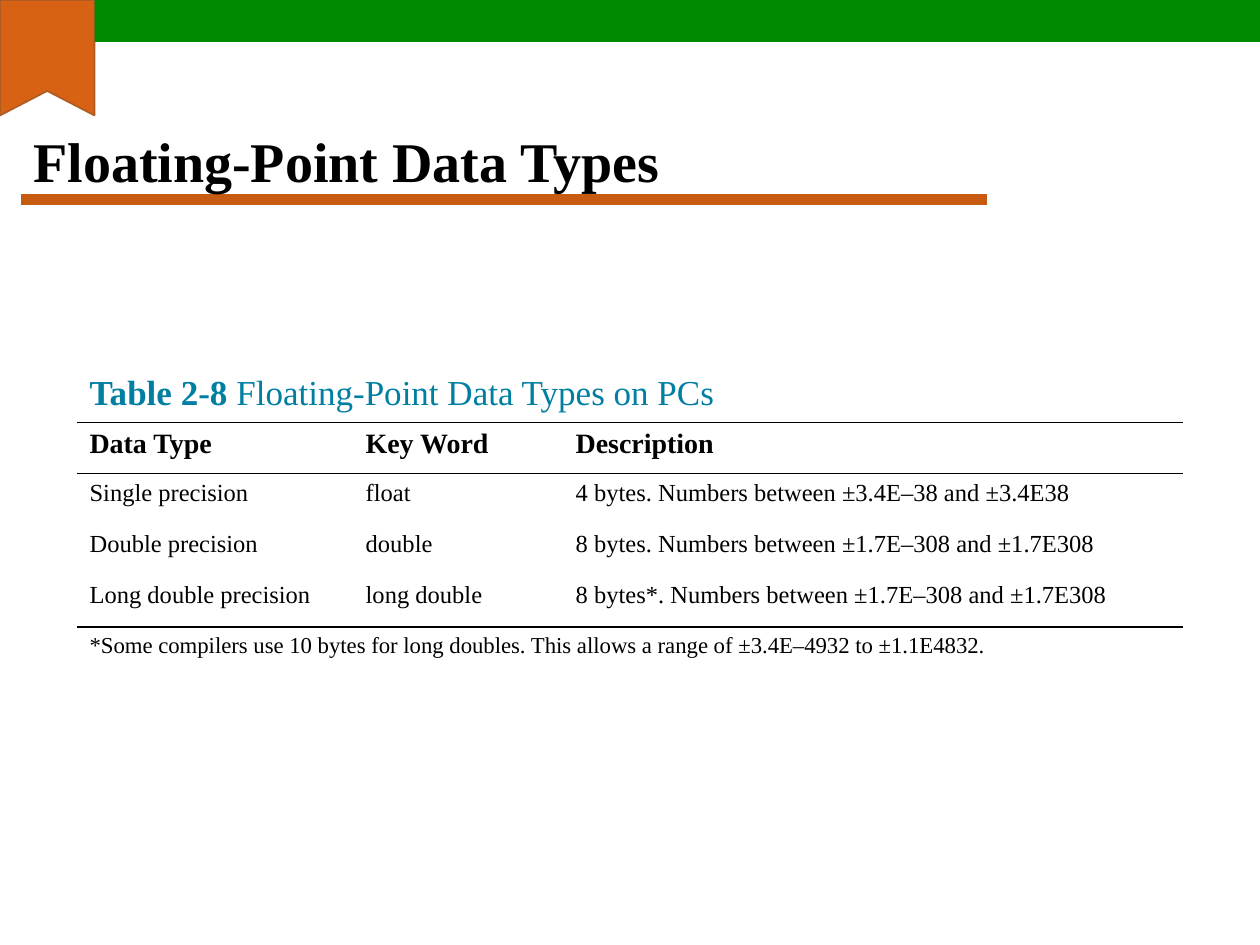
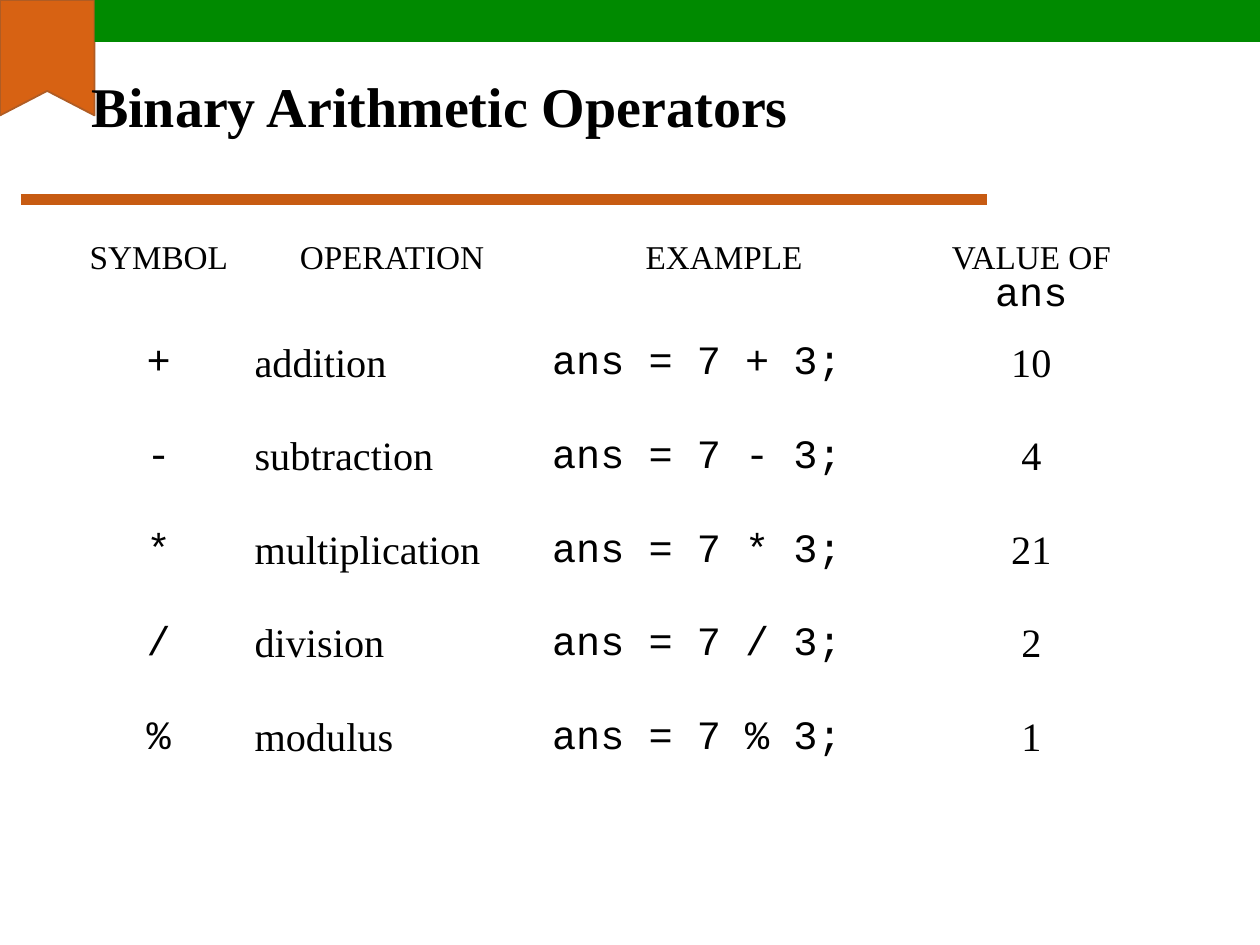
import pptx
import pptx.util
import pptx.dml.color
import pptx.enum.shapes
import pptx.enum.text
import pptx.oxml
import pptx.oxml.ns

Pt = pptx.util.Pt
Align = pptx.enum.text.PP_ALIGN
Shape = pptx.enum.shapes.MSO_SHAPE
SERIF, MONO = "Times New Roman", "Courier New"
BLACK, TEAL = "000000", "007FA3"
GREEN, ORANGE, RUST, BROWN = "008A00", "D76213", "C75B12", "AF5C24"
TITLE = {"size": Pt(32), "bold": True}


def color(code):
    return pptx.dml.color.RGBColor.from_string(code)


def style(size, name=SERIF, bold=False):
    return {"size": Pt(size), "name": name, "bold": bold}


def add_run(para, text, form, code=BLACK):
    run = para.add_run()
    run.text = text
    for key, value in form.items():
        setattr(run.font, key, value)
    run.font.color.rgb = color(code)


# Ribbon, top band and rule shared by all slides
def add_frame(slide, width):
    wide, high, notch = 54, 66, 52
    rule = slide.shapes.add_connector(
        pptx.enum.shapes.MSO_CONNECTOR.STRAIGHT,
        Pt(12), Pt(114), Pt(564), Pt(114))
    rule.line.color.rgb = color(RUST)
    rule.line.width = Pt(6)
    rule._element.spPr.append(
        pptx.oxml.parse_xml(f"<a:effectLst {pptx.oxml.ns.nsdecls('a')}/>"))

    pen = slide.shapes.build_freeform(0, 0, scale=Pt(1))
    pen.add_line_segments(
        [(wide, 0), (wide, high), (wide / 2, notch), (0, high)], close=True)
    ribbon = pen.convert_to_shape()
    band = slide.shapes.add_shape(
        Shape.RECTANGLE, Pt(wide), 0, Pt(width - wide), Pt(24))
    for part, code in ((ribbon, ORANGE), (band, GREEN)):
        part.shadow.inherit = False
        part.fill.solid()
        part.fill.fore_color.rgb = color(code)
    ribbon.line.color.rgb = color(BROWN)
    ribbon.line.width = Pt(1)
    band.line.fill.background()


def add_title(slide, text, left, top):
    box = slide.shapes.add_textbox(Pt(left), Pt(top), Pt(648), Pt(86.4))
    frame = box.text_frame
    frame.word_wrap = True
    frame.vertical_anchor = pptx.enum.text.MSO_ANCHOR.MIDDLE
    add_run(frame.paragraphs[0], text, {**style(32), **TITLE})


# Draws the named sides of a cell and clears the others
def set_edges(cell, sides):
    props = cell._tc.get_or_add_tcPr()
    for spot, side in enumerate("LRTB"):
        code = BLACK if side in sides else None
        paint = (f'<a:solidFill><a:srgbClr val="{code}"/></a:solidFill>'
                 if code else "<a:noFill/>")
        props.insert(spot, pptx.oxml.parse_xml(
            f'<a:ln{side} {pptx.oxml.ns.nsdecls("a")} w="{Pt(1)}">'
            f"{paint}</a:ln{side}>"))


# Plain table without banding, with its column and row sizes
def add_grid(slide, left, top, cols, rows, inset):
    table = slide.shapes.add_table(
        len(rows), len(cols), Pt(left), Pt(top),
        Pt(sum(cols)), Pt(sum(rows))).table
    table.first_row = table.horz_banding = False
    for col, width in zip(table.columns, cols):
        col.width = Pt(width)
    for row, high in zip(table.rows, rows):
        row.height = Pt(high)
    for cell in table.iter_cells():
        cell.fill.background()
        cell.margin_left = cell.margin_right = Pt(inset)
        cell.margin_top = cell.margin_bottom = Pt(3.6)
    return table


def add_types(slide, left, top):
    rows = [
        ("Data Type", "Key Word", "Description"),
        ("Single precision", "float",
         "4 bytes. Numbers between ±3.4E–38 and ±3.4E38"),
        ("Double precision", "double",
         "8 bytes. Numbers between ±1.7E–308 and ±1.7E308"),
        ("Long double precision", "long double",
         "8 bytes*. Numbers between ±1.7E–308 and ±1.7E308"),
    ]
    note = ("*Some compilers use 10 bytes for long doubles. "
            "This allows a range of ±3.4E–4932 to ±1.1E4832.")
    edges = ["B", "TB", "T", "", "B", "T"]
    table = add_grid(slide, left, top, [157.8, 120, 354.2],
                     [30.6] + [29.2] * 5, 7.2)
    for r, sides in enumerate(edges):
        for c in range(3):
            set_edges(table.cell(r, c), sides)
    # Caption and footnote span the full width
    for r in (0, 5):
        table.cell(r, 0).merge(table.cell(r, 2))
    head = table.cell(0, 0).text_frame.paragraphs[0]
    add_run(head, "Table 2-8 ", style(20, bold=True), TEAL)
    add_run(head, "Floating-Point Data Types on PCs", style(20), TEAL)
    add_run(table.cell(5, 0).text_frame.paragraphs[0], note, style(13))
    for r, row in enumerate(rows, 1):
        form = style(16, bold=True) if r == 1 else style(14)
        for c, text in enumerate(row):
            add_run(table.cell(r, c).text_frame.paragraphs[0], text, form)


def add_signs(slide, left, top):
    heads = ["SYMBOL", "OPERATION", "EXAMPLE", "VALUE OF "]
    rows = [("+", "addition", "10"), ("-", "subtraction", "4"),
            ("*", "multiplication", "21"), ("/", "division", "2"),
            ("%", "modulus", "1")]
    fonts = [MONO, SERIF, MONO, SERIF]
    sides = [Align.CENTER, Align.LEFT, Align.LEFT, Align.CENTER]
    table = add_grid(slide, left, top, [96.5, 170, 209.5, 141.8],
                     [55.4] + [53.5] * 5, 6.5)
    for cell in table.iter_cells():
        set_edges(cell, "")
    for c, text in enumerate(heads):
        para = table.cell(0, c).text_frame.paragraphs[0]
        para.alignment = Align.CENTER
        para.line_spacing = 0.85
        add_run(para, text, style(19))
    add_run(para, "ans", style(23, MONO))
    # One row for each operator
    for r, (sign, name, value) in enumerate(rows, 1):
        texts = [sign, name, f"ans = 7 {sign} 3;", value]
        for c, text in enumerate(texts):
            para = table.cell(r, c).text_frame.paragraphs[0]
            para.alignment = sides[c]
            add_run(para, text, style(23, fonts[c]))


def main():
    deck = pptx.Presentation()
    deck.slide_width, deck.slide_height = Pt(720), Pt(540)
    pages = [
        ("Floating-Point Data Types", (12, 48.5), add_types, (44, 210.2)),
        ("Binary Arithmetic Operators", (45, 16.8), add_signs, (42.5, 136)),
    ]
    for title, spot, body, place in pages:
        slide = deck.slides.add_slide(deck.slide_layouts[6])
        add_frame(slide, 720)
        add_title(slide, title, *spot)
        body(slide, *place)
    deck.save("out.pptx")


if __name__ == "__main__":
    main()
